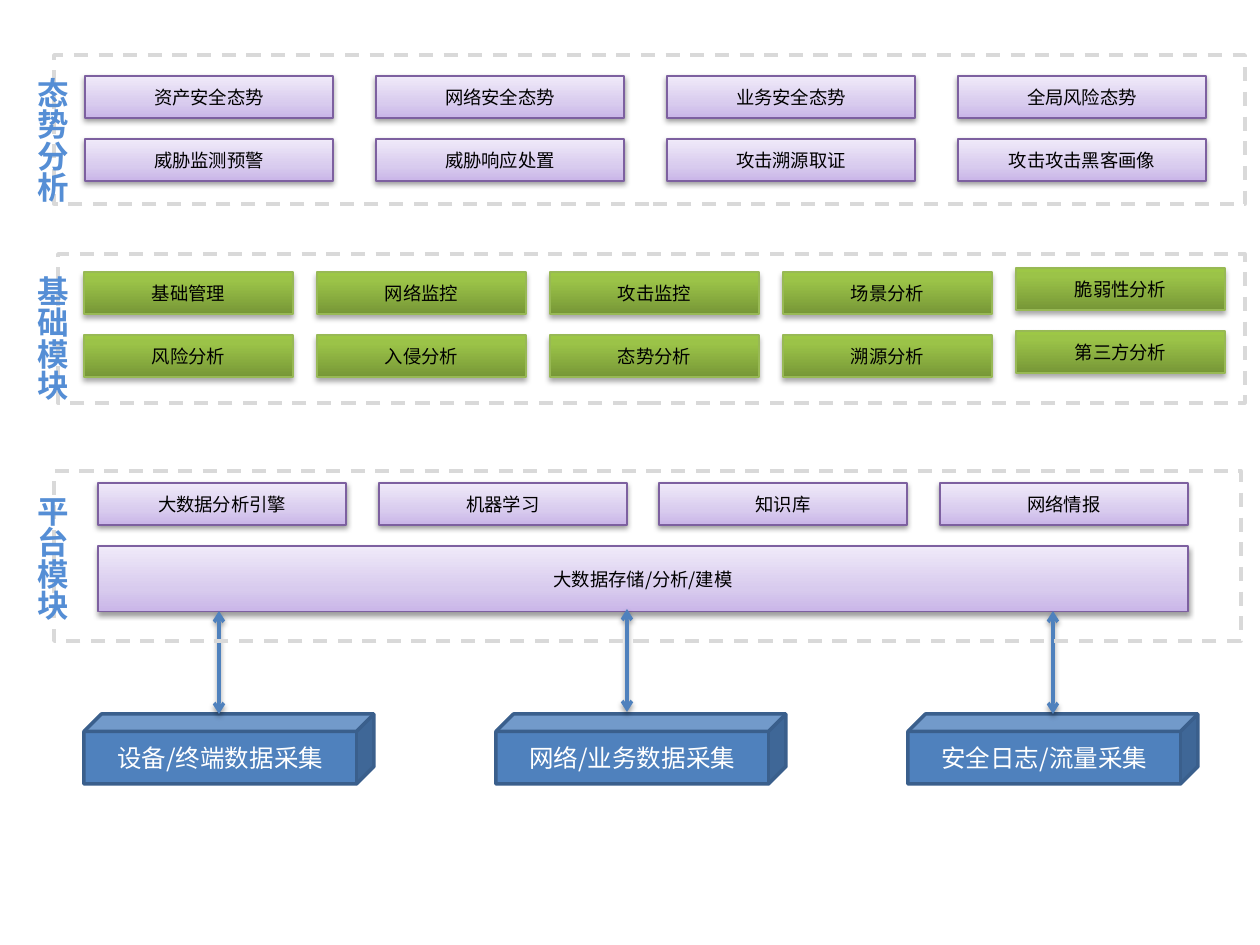
import lxml.etree
import pptx
import pptx.dml.color
import pptx.enum.dml
import pptx.enum.shapes
import pptx.enum.text
import pptx.oxml.ns
import pptx.util

SCALE = 914400 // 126
CJK_FONT = "Noto Sans CJK SC"
PURPLE = {"stops": [(0, "C9B5E8"), (35, "D8CBEE"), (100, "F0EAF9")],
          "line": "7D60A0", "shadow": (38, 1.6)}
GREEN = {"stops": [(0, "779737"), (80, "9BC348"), (100, "9DC746")],
         "line": "98B955", "shadow": (35, 1.8)}


def color(value):
    """Turn a hex string into a colour."""
    return pptx.dml.color.RGBColor.from_string(value)


def emu(*lengths):
    """Turn pixel lengths into EMU."""
    return [pptx.util.Emu(round(length) * SCALE) for length in lengths]


def add_xml(parent, tag, **attributes):
    """Append a DrawingML element with the given attributes."""
    element = lxml.etree.SubElement(parent, pptx.oxml.ns.qn(tag))
    for name, value in attributes.items():
        element.set(name, str(value))
    return element


def set_shadow(properties, alpha, distance):
    """Give shape properties a soft shadow that falls straight down."""
    effects = properties.find(pptx.oxml.ns.qn("a:effectLst"))
    if effects is None:
        effects = add_xml(properties, "a:effectLst")
    shadow = add_xml(effects, "a:outerShdw", blurRad=pptx.util.Pt(3.1),
                     dist=pptx.util.Pt(distance), dir=5400000, rotWithShape=0)
    add_xml(add_xml(shadow, "a:srgbClr", val="000000"), "a:alpha", val=alpha * 1000)


def set_gradient(shape, stops):
    """Fill a shape with a gradient that runs from bottom to top."""
    shape.fill.gradient()
    gradient = shape._element.spPr.find(pptx.oxml.ns.qn("a:gradFill"))
    for child in list(gradient):
        gradient.remove(child)
    stop_list = add_xml(gradient, "a:gsLst")
    for position, value in stops:
        add_xml(add_xml(stop_list, "a:gs", pos=position * 1000), "a:srgbClr", val=value)
    add_xml(gradient, "a:lin", ang=16200000, scaled=0)


def set_text(shape, text, size, value, font=CJK_FONT, bold=False):
    """Write one formatted paragraph into a shape."""
    paragraph = shape.text_frame.paragraphs[0]
    paragraph.text = text
    paragraph.font.size = pptx.util.Pt(size)
    paragraph.font.bold = bold
    paragraph.font.color.rgb = color(value)
    paragraph.font.name = font
    defaults = paragraph._p.pPr.find(pptx.oxml.ns.qn("a:defRPr"))
    add_xml(defaults, "a:ea", typeface=CJK_FONT)
    return paragraph


def add_block(slide, kind, box, line, width):
    """Add an outlined preset shape without the theme shadow."""
    shape = slide.shapes.add_shape(kind, *emu(*box))
    shape.shadow.inherit = False
    shape.line.color.rgb = color(line)
    shape.line.width = pptx.util.Pt(width)
    return shape


def add_module(slide, box, text, style):
    """Add one shaded module box."""
    shape = add_block(slide, pptx.enum.shapes.MSO_SHAPE.RECTANGLE, box, style["line"], 0.75)
    set_gradient(shape, style["stops"])
    set_shadow(shape._element.spPr, *style["shadow"])
    shape.text_frame.vertical_anchor = pptx.enum.text.MSO_ANCHOR.MIDDLE
    paragraph = set_text(shape, text, 10.5, "000000")
    paragraph.alignment = pptx.enum.text.PP_ALIGN.CENTER


def add_module_grid(slide, box, rows, width, style, last_lift=0):
    """Spread rows of modules evenly over a box."""
    left, top, total, height = box
    module_height = 42
    column_step = (total - width) / (len(rows[0]) - 1)
    row_step = (height - module_height) / max(len(rows) - 1, 1)
    for row, names in enumerate(rows):
        for column, name in enumerate(names):
            lift = last_lift if column == len(names) - 1 else 0
            place = (left + column * column_step, top + row * row_step - lift,
                     width, module_height)
            add_module(slide, place, name, style)


def add_platform(slide, box):
    """Add the platform modules above the storage bar."""
    left, top, width, height = box
    names = ["大数据分析引擎", "机器学习", "知识库", "网络情报"]
    add_module_grid(slide, (left, top, width, 42), [names], 248, PURPLE)
    add_module(slide, (left, top + 63, width, height - 63), "大数据存储/分析/建模", PURPLE)


def add_arrow(slide, x, top, length):
    """Add a vertical arrow with a head at each end."""
    arrow = slide.shapes.add_connector(pptx.enum.shapes.MSO_CONNECTOR.STRAIGHT,
                                       *emu(x, top, x, top + length))
    arrow.line.color.rgb = color("4F81BD")
    arrow.line.width = pptx.util.Pt(2)
    line = arrow.line._get_or_add_ln()
    add_xml(line, "a:headEnd", type="arrow")
    add_xml(line, "a:tailEnd", type="arrow")
    set_shadow(arrow._element.spPr, 38, 1.6)


def add_collection(slide, box):
    """Add the data sources and the arrows that rise from them."""
    left, top, width, height = box
    sources = ["设备/终端数据采集", "网络/业务数据采集", "安全日志/流量采集"]
    cube_width = 290
    step = (width - cube_width) / (len(sources) - 1)
    for index, name in enumerate(sources):
        place = (left + index * step, top, cube_width, height)
        cube = add_block(slide, pptx.enum.shapes.MSO_SHAPE.CUBE, place, "3A5F8C", 2)
        cube.fill.solid()
        cube.fill.fore_color.rgb = color("4F81BD")
        cube.text_frame.vertical_anchor = pptx.enum.text.MSO_ANCHOR.MIDDLE
        paragraph = set_text(cube, name, 14, "FFFFFF")
        paragraph.alignment = pptx.enum.text.PP_ALIGN.CENTER
    for offset, lift in [(135, 103), (543, 105), (969, 103)]:
        add_arrow(slide, left + offset, top - lift, 103)


def add_frame(slide, box, title, label_top):
    """Add a dashed region frame with its vertical title."""
    frame = add_block(slide, pptx.enum.shapes.MSO_SHAPE.RECTANGLE, box, "D9D9D9", 2)
    frame.fill.background()
    frame.line.dash_style = pptx.enum.dml.MSO_LINE.DASH
    label = slide.shapes.add_textbox(*emu(14, box[1] + label_top, 63, 139))
    label.text_frame.word_wrap = False
    label.text_frame.auto_size = pptx.enum.text.MSO_AUTO_SIZE.SHAPE_TO_FIT_TEXT
    label.text_frame._txBody.bodyPr.set("vert", "eaVert")
    set_text(label, title, 18, "558ED5", "Calibri", True)


def main():
    """Build the platform architecture slide."""
    presentation = pptx.Presentation()
    presentation.slide_width, presentation.slide_height = emu(1260, 945)
    slide = presentation.slides.add_slide(presentation.slide_layouts[6])
    situations = [["资产安全态势", "网络安全态势", "业务安全态势", "全局风险态势"],
                  ["威胁监测预警", "威胁响应处置", "攻击溯源取证", "攻击攻击黑客画像"]]
    analyses = [["基础管理", "网络监控", "攻击监控", "场景分析", "脆弱性分析"],
                ["风险分析", "入侵分析", "态势分析", "溯源分析", "第三方分析"]]
    add_module_grid(slide, (85, 76, 1121, 105), situations, 248, PURPLE)
    add_module_grid(slide, (84, 272, 1141, 105), analyses, 209, GREEN, last_lift=4)
    add_platform(slide, (98, 483, 1090, 129))
    add_collection(slide, (84, 714, 1114, 70))
    add_frame(slide, (54, 55, 1191, 149), "态势分析", 10)
    add_frame(slide, (58, 254, 1187, 149), "基础模块", 9)
    add_frame(slide, (54, 471, 1187, 170), "平台模块", 12)
    presentation.save("out.pptx")


main()
